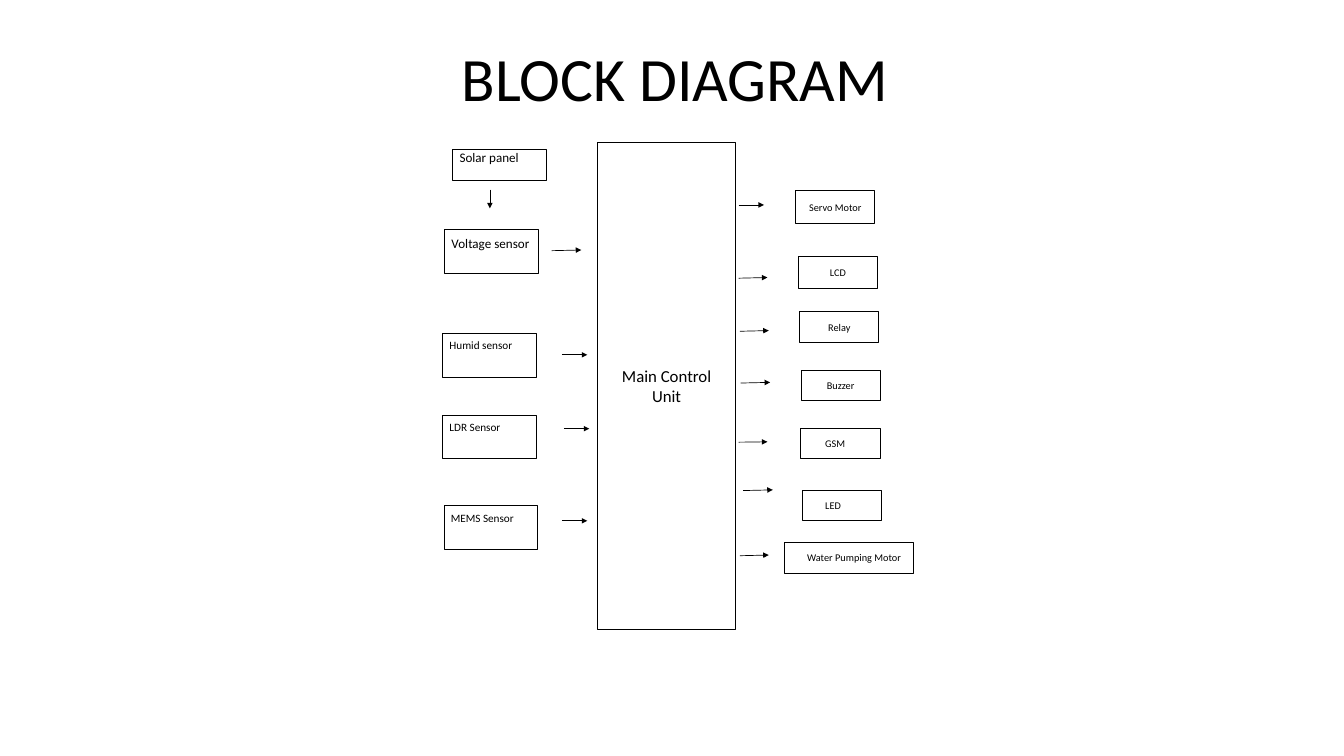
from lxml.etree import SubElement
from pptx import Presentation
from pptx.dml.color import RGBColor
from pptx.enum.shapes import MSO_CONNECTOR, MSO_SHAPE
from pptx.enum.text import MSO_ANCHOR, PP_ALIGN
from pptx.oxml.ns import qn
from pptx.util import Inches, Pt

deck = Presentation()
deck.slide_width, deck.slide_height = Inches(20), Inches(11.25)
col, row = deck.slide_width / 100, deck.slide_height / 100
slide = deck.slides.add_slide(deck.slide_layouts[5])


def paint(part, tone):
    part.rgb = RGBColor.from_string(tone)


def write(shape, lines, size, align):
    frame = shape.text_frame
    frame.word_wrap = True
    frame.text = "\n".join(lines)
    for para in frame.paragraphs:
        para.alignment = align
        para.font.size = Pt(size)
        para.font.name = "Calibri"
        paint(para.font.color, "000000")
    return frame


title = slide.shapes.title
title.left, title.top = int(0.15 * col), int(2.76 * row)
title.width, title.height = int(95.2 * col), int(11.29 * row)
frame = write(title, ["BLOCK DIAGRAM"], 66, PP_ALIGN.LEFT)
frame.vertical_anchor = MSO_ANCHOR.MIDDLE
frame.margin_left, frame.margin_top = int(34.2 * col), int(3.47 * row)
frame.margin_right = frame.margin_bottom = 0

mid, left = PP_ALIGN.CENTER, PP_ALIGN.LEFT
center, top = MSO_ANCHOR.MIDDLE, MSO_ANCHOR.TOP
boxes = [
    (["Main Control", "Unit"], 44.45, 18.84, 10.3, 64.36, 18, mid, center, 0.5, 0.4),
    (["Voltage sensor"], 33.1, 30.4, 6.95, 5.78, 14, left, top, 0.5, 0.7),
    (["Solar panel"], 33.7, 19.82, 6.95, 4.09, 14, left, top, 0.5, 0),
    (["Humid sensor"], 32.95, 44.09, 6.95, 5.78, 12, left, top, 0.5, 0.7),
    (["LDR Sensor"], 32.95, 54.93, 6.95, 5.78, 12, left, top, 0.5, 0.7),
    (["MEMS Sensor"], 33.05, 66.93, 6.95, 5.78, 12, left, top, 0.5, 0.7),
    (["Servo Motor"], 59.2, 25.24, 5.9, 4.27, 11, mid, center, 0.5, 0.4),
    (["LCD"], 59.4, 33.96, 5.9, 4.18, 11, mid, center, 0.5, 0.4),
    (["Relay"], 59.5, 41.16, 5.9, 4.18, 11, mid, center, 0.5, 0.4),
    (["Buzzer"], 59.6, 48.98, 5.9, 4, 11, mid, center, 0.5, 0.4),
    (["GSM"], 59.55, 56.71, 5.95, 4, 11, left, center, 1.85, 0.4),
    (["LED"], 59.7, 64.89, 5.9, 4, 11, left, center, 1.7, 0.4),
    (["Water Pumping Motor"], 58.35, 71.73, 9.6, 4.09, 11, left, center, 1.7, 0.4),
]
for lines, x, y, wide, high, size, align, anchor, inset, drop in boxes:
    box = slide.shapes.add_shape(
        MSO_SHAPE.RECTANGLE, int(x * col), int(y * row), int(wide * col), int(high * row))
    box.shadow.inherit = False
    box.fill.solid()
    paint(box.fill.fore_color, "FFFFFF")
    paint(box.line.color, "000000")
    box.line.width = Pt(1)
    frame = write(box, lines, size, align)
    frame.vertical_anchor = anchor
    frame.margin_left, frame.margin_top = int(inset * col), int(drop * row)
    frame.margin_right, frame.margin_bottom = int(0.5 * col), int(0.4 * row)

arrows = [
    (36.45, 25.07, 36.45, 27.56),
    (41.05, 33.16, 43.25, 33.07),
    (41.8, 46.93, 43.7, 46.93),
    (41.95, 56.71, 43.85, 56.71),
    (41.8, 68.89, 43.7, 68.89),
    (54.95, 27.11, 56.85, 27.11),
    (54.95, 36.8, 57.1, 36.71),
    (55.05, 43.82, 57.2, 43.73),
    (55.1, 50.67, 57.3, 50.58),
    (54.95, 58.49, 57.1, 58.44),
    (55.3, 64.89, 57.5, 64.8),
    (55.05, 73.51, 57.2, 73.42),
]
for x, y, end, base in arrows:
    arrow = slide.shapes.add_connector(
        MSO_CONNECTOR.STRAIGHT, int(x * col), int(y * row), int(end * col), int(base * row))
    paint(arrow.line.color, "000000")
    arrow.line.width = Pt(0.75)
    SubElement(arrow.line._get_or_add_ln(), qn("a:tailEnd"), type="triangle")
    SubElement(arrow._element.spPr, qn("a:effectLst"))

deck.save("out.pptx")
